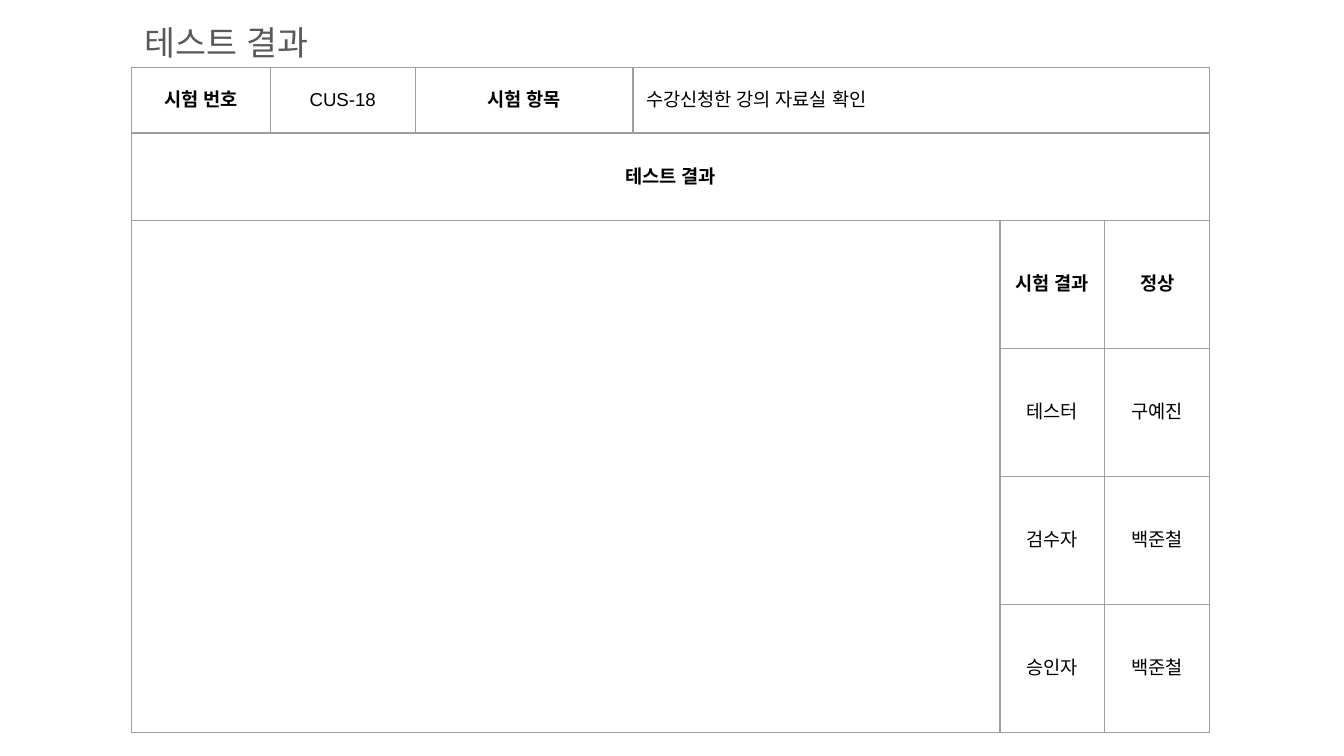
from lxml.etree import SubElement
from pptx import Presentation
from pptx.dml.color import RGBColor
from pptx.enum.text import MSO_ANCHOR, PP_ALIGN
from pptx.oxml.ns import qn
from pptx.util import Inches, Pt

COLORS = {"title": "595959", "body": "000000", "border": "9E9E9E"}
FONT = "Arial"
INSET = Inches(0.1)


def format_runs(paragraph, size, color, bold=False):
    """Apply the slide font to every run of a paragraph."""
    for run in paragraph.runs:
        run.font.size = Pt(size)
        run.font.bold = bold
        run.font.color.rgb = RGBColor.from_string(COLORS[color])
        run.font.name = FONT
        for script in ("a:ea", "a:cs"):
            SubElement(run._r.get_or_add_rPr(), qn(script), typeface=FONT)


def set_insets(target):
    """Give a cell or text frame equal margins."""
    target.margin_left = target.margin_right = INSET
    target.margin_top = target.margin_bottom = INSET


def set_borders(cell):
    """Draw a thin line on all four sides of a cell."""
    properties = cell._tc.get_or_add_tcPr()
    for position, side in enumerate(("a:lnL", "a:lnR", "a:lnT", "a:lnB")):
        line = SubElement(properties, qn(side), w=str(Pt(0.75)))
        fill = SubElement(line, qn("a:solidFill"))
        SubElement(fill, qn("a:srgbClr"), val=COLORS["border"])
        properties.insert(position, line)


def fill_cell(cell, text, bold, align=PP_ALIGN.CENTER):
    """Write and format the text of one cell."""
    cell.text_frame.text = text
    paragraph = cell.text_frame.paragraphs[0]
    paragraph.alignment = align
    format_runs(paragraph, 10, "body", bold)


def add_grid(slide, left, top, widths, heights):
    """Add an unfilled, bordered table with the given columns and rows."""
    table = slide.shapes.add_table(
        len(heights), len(widths), Inches(left), Inches(top),
        Inches(sum(widths)), Inches(sum(heights))).table
    table.first_row = table.horz_banding = False
    for column, width in zip(table.columns, widths):
        column.width = Inches(width)
    for row, height in zip(table.rows, heights):
        row.height = Inches(height)
    for cell in table.iter_cells():
        cell.fill.background()
        cell.vertical_anchor = MSO_ANCHOR.MIDDLE
        set_insets(cell)
        set_borders(cell)
    return table


def add_title(slide, left, top, width, height):
    """Add the slide heading."""
    frame = slide.shapes.add_textbox(
        Inches(left), Inches(top), Inches(width), Inches(height)).text_frame
    frame.word_wrap = True
    set_insets(frame)
    frame.text = "테스트 결과"
    heading = frame.paragraphs[0]
    heading.line_spacing = 1.15
    heading.space_after = Pt(12)
    format_runs(heading, 18, "title")


def add_test_info(slide, left, top, width, height):
    """Add the row with the test number and test item."""
    widths = [1.03, 1.08, 1.62]
    info = add_grid(slide, left, top, widths + [width - sum(widths)], [height])
    labels = ["시험 번호", "CUS-18", "시험 항목"]
    for column, label in enumerate(labels):
        fill_cell(info.cell(0, column), label, bold=column % 2 == 0)
    fill_cell(info.cell(0, 3), "수강신청한 강의 자료실 확인", False, PP_ALIGN.LEFT)


def add_test_result(slide, left, top, width, height):
    """Add the result area with its verdict and sign-off names."""
    signoffs = [("시험 결과", "정상"), ("테스터", "구예진"),
                ("검수자", "백준철"), ("승인자", "백준철")]
    header, side = 0.65, 0.78
    step = (height - header) / len(signoffs)
    result = add_grid(slide, left, top, [width - 2 * side, side, side],
                      [header] + [step] * len(signoffs))
    result.cell(0, 0).merge(result.cell(0, 2))
    result.cell(1, 0).merge(result.cell(len(signoffs), 0))
    fill_cell(result.cell(0, 0), "테스트 결과", True)
    for row, signoff in enumerate(signoffs, start=1):
        for column, text in enumerate(signoff, start=1):
            fill_cell(result.cell(row, column), text, bold=row == 1)


def main():
    """Build the test result slide and save it."""
    presentation = Presentation()
    presentation.slide_width = Inches(10)
    presentation.slide_height = Inches(10 * 9 / 16)
    slide = presentation.slides.add_slide(presentation.slide_layouts[6])
    left, width = 0.98, 8.02
    add_title(slide, left, 0.02, 1.66, 0.43)
    add_test_result(slide, left, 0.99, width, 4.46)
    add_test_info(slide, left, 0.5, width, 0.49)
    presentation.save("out.pptx")


if __name__ == "__main__":
    main()
